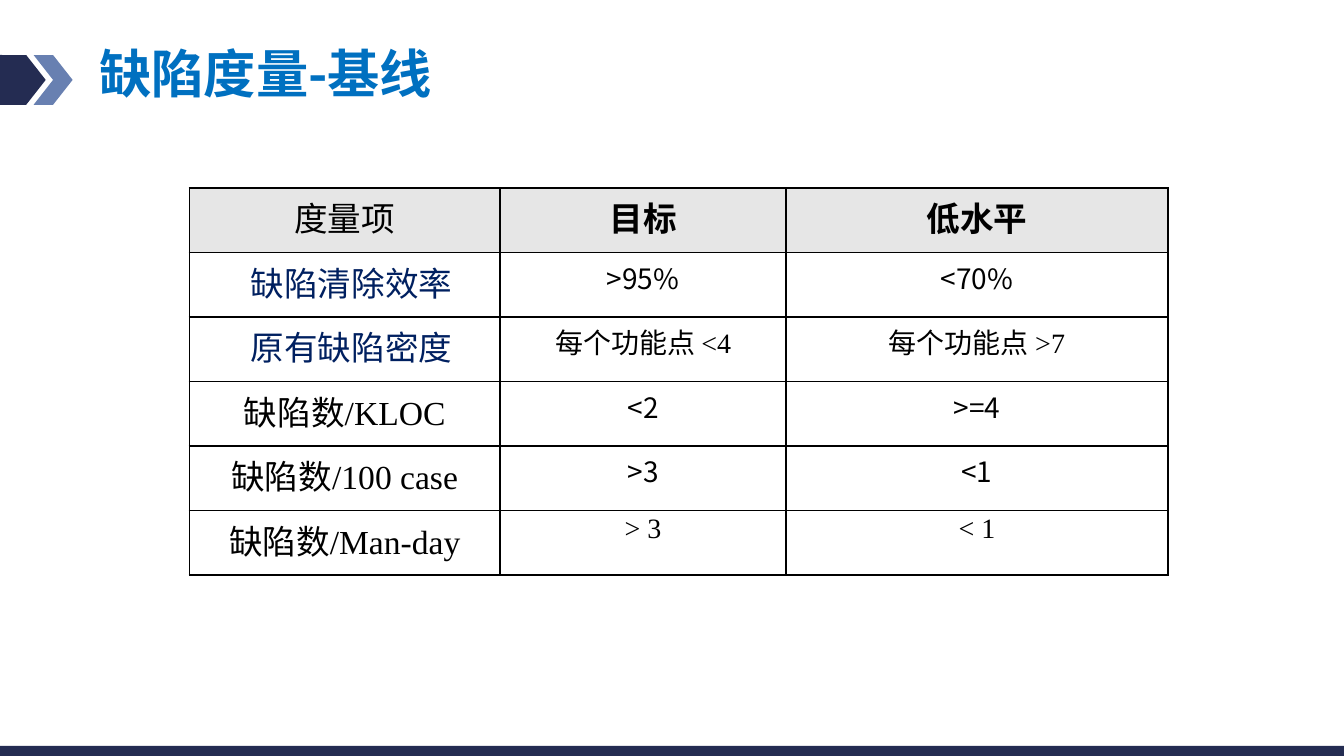
from lxml.etree import SubElement
from pptx import Presentation
from pptx.dml.color import RGBColor
from pptx.enum.shapes import MSO_SHAPE
from pptx.enum.text import MSO_ANCHOR, PP_ALIGN
from pptx.oxml.ns import qn
from pptx.util import Inches, Pt

SANS = "Noto Sans CJK SC"
SERIF = "Times New Roman"
NAVY, STEEL, BLUE = "242C52", "6880B1", "0070C0"
BLACK, DEEP_BLUE, GREY = "000000", "002060", "E6E6E6"

COLUMN_WIDTHS = [2.31, 2.13, 2.84]
ROW_HEIGHT = 0.48
ROWS = [
    ["度量项", "目标", "低水平"],
    ["缺陷清除效率", ">95%", "<70%"],
    ["原有缺陷密度", "每个功能点 <4", "每个功能点 >7"],
    ["缺陷数/KLOC", "<2", ">=4"],
    ["缺陷数/100 case", ">3", "<1"],
    ["缺陷数/Man-day", "> 3", "< 1"],
]
INDENTED_ROWS = (1, 2)
SANS_VALUE_ROWS = (1, 3, 4)


def color(value):
    return RGBColor.from_string(value)


def set_attributes(target, values):
    for name, value in values.items():
        setattr(target, name, value)


def write_text(frame, text, paragraph_format, font, font_color):
    paragraph = frame.paragraphs[0]
    set_attributes(paragraph, paragraph_format)
    run = paragraph.add_run()
    run.text = text
    set_attributes(run.font, font)
    run.font.color.rgb = color(font_color)
    SubElement(run.font._element, qn("a:ea")).set("typeface", SANS)


def add_block(slide, kind, box, fill):
    shape = slide.shapes.add_shape(kind, *map(Inches, box))
    shape.shadow.inherit = False
    shape.fill.solid()
    shape.fill.fore_color.rgb = color(fill)
    shape.line.fill.background()
    return shape


def add_title_marker(slide, left, top, height):
    bar = add_block(slide, MSO_SHAPE.ROUNDED_RECTANGLE, (left, top, 0.35, height), NAVY)
    bar.adjustments[0] = 0.1
    for offset, fill in ((0.4, STEEL), (0.2, NAVY)):
        add_block(slide, MSO_SHAPE.CHEVRON, (left + offset, top, 0.29, height), fill)


def format_title(slide, box, text):
    title = slide.shapes.title
    left, top, width, height = map(Inches, box)
    set_attributes(title, {"left": left, "top": top, "width": width, "height": height})
    frame = title.text_frame
    set_attributes(frame, {
        "word_wrap": True, "vertical_anchor": MSO_ANCHOR.MIDDLE,
        "margin_top": 0, "margin_bottom": Inches(0.05),
    })
    write_text(frame, text, {"alignment": PP_ALIGN.LEFT, "line_spacing": 0.9},
               {"name": SANS, "size": Pt(28), "bold": True}, BLUE)


def add_borders(cell):
    properties = cell._tc.get_or_add_tcPr()
    for index, side in enumerate(("lnL", "lnR", "lnT", "lnB")):
        line = properties.makeelement(qn(f"a:{side}"), {"w": str(Pt(1))})
        fill = SubElement(line, qn("a:solidFill"))
        SubElement(fill, qn("a:srgbClr")).set("val", BLACK)
        properties.insert(index, line)


def format_cell(cell, text, row, column):
    set_attributes(cell, {
        "margin_left": Inches(0.06), "margin_right": Inches(0.06),
        "margin_top": 0, "margin_bottom": 0, "vertical_anchor": MSO_ANCHOR.TOP,
    })
    is_header, is_label = row == 0, column == 0
    if is_header:
        cell.fill.solid()
        cell.fill.fore_color.rgb = color(GREY)
    else:
        cell.fill.background()
    add_borders(cell)
    indented = is_label and row in INDENTED_ROWS
    font = {
        "name": SANS if not is_label and row in SANS_VALUE_ROWS else SERIF,
        "size": Pt(18 if is_header or is_label else 15),
        "bold": is_header and not is_label,
    }
    paragraph_format = {"alignment": PP_ALIGN.CENTER, "line_spacing": 1.1, "space_after": Pt(1.2)}
    write_text(cell.text_frame, text, paragraph_format, font, DEEP_BLUE if indented else BLACK)
    if indented:
        paragraph_properties = cell.text_frame.paragraphs[0]._p.get_or_add_pPr()
        paragraph_properties.set("marL", str(Inches(0.1)))
        paragraph_properties.set("indent", "0")


def add_baseline_table(slide, left, top):
    width, height = sum(COLUMN_WIDTHS), ROW_HEIGHT * len(ROWS)
    table = slide.shapes.add_table(
        len(ROWS), len(COLUMN_WIDTHS), *map(Inches, (left, top, width, height))).table
    set_attributes(table, {"first_row": False, "horz_banding": False})
    for column, column_width in zip(table.columns, COLUMN_WIDTHS):
        column.width = Inches(column_width)
    for row, texts in enumerate(ROWS):
        table.rows[row].height = Inches(ROW_HEIGHT)
        for column, text in enumerate(texts):
            format_cell(table.cell(row, column), text, row, column)


def main():
    presentation = Presentation()
    presentation.slide_width = Inches(10)
    presentation.slide_height = Inches(10) * 9 // 16
    slide = presentation.slides.add_slide(presentation.slide_layouts[5])
    add_title_marker(slide, -0.15, 0.41, 0.37)
    add_block(slide, MSO_SHAPE.RECTANGLE, (0, 5.55, 10, 0.13), NAVY)
    format_title(slide, (0.64, 0.31, 8.05, 0.57), "缺陷度量-基线")
    add_baseline_table(slide, 1.41, 1.4)
    presentation.save("out.pptx")


if __name__ == "__main__":
    main()
